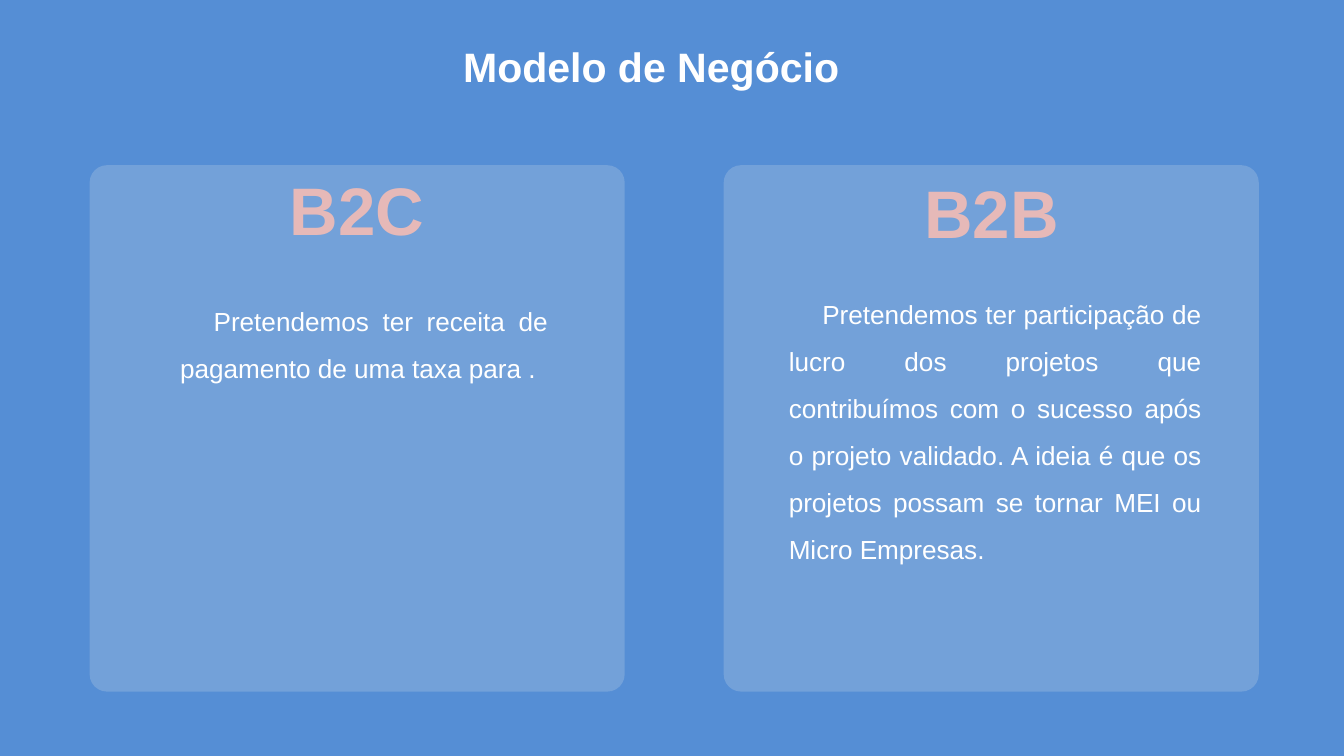
from lxml import etree
from pptx import Presentation
from pptx.dml.color import RGBColor
from pptx.enum import shapes, text
from pptx.oxml import ns
from pptx.util import Pt

COLORS = {"background": "558ED5", "card": "B9CDE5", "heading": "E6B9B8", "white": "FFFFFF"}
CARD_TOP, CARD_WIDTH, CARD_HEIGHT = 177, 573.3, 564
CARDS = [
    {
        "left": 96,
        "heading": ("B2C", (283.7, 177, 198, 94)),
        "body": (
            "\tPretendemos ter receita de pagamento de uma taxa para .",
            (185.8, 306.7, 408, 160),
        ),
    },
    {
        "left": 775.4,
        "heading": ("B2B", (963.4, 180, 198, 94)),
        "body": (
            "\tPretendemos ter participação de lucro dos projetos que contribuímos "
            "com o sucesso após o projeto validado. A ideia é que os projetos possam "
            "se tornar MEI ou Micro Empresas.",
            (838, 299.5, 456, 312.5),
        ),
    },
]


def color(name):
    """Return the named colour."""
    return RGBColor.from_string(COLORS[name])


def place(s, left, top, width, height):
    """Move and size a shape, in points."""
    s.left, s.top, s.width, s.height = Pt(left), Pt(top), Pt(width), Pt(height)


def write(s, content, size, fill="white", bold=False, align="CENTER", anchor="TOP", spacing=1.0):
    """Write one formatted paragraph into a shape."""
    tf = s.text_frame
    tf.word_wrap = True
    tf.auto_size = text.MSO_AUTO_SIZE.NONE
    tf.vertical_anchor = text.MSO_ANCHOR[anchor]
    p = tf.paragraphs[0]
    p.alignment = text.PP_ALIGN[align]
    p.line_spacing = spacing
    r = p.add_run()
    r.text = content
    r.font.name, r.font.size, r.font.bold = "Arial", Pt(size), bold
    r.font.color.rgb = color(fill)


def add_text(slide, content, box, **fmt):
    """Add a text box with formatted text."""
    s = slide.shapes.add_textbox(*map(Pt, box))
    write(s, content, **fmt)


def add_panel(slide, left):
    """Add a translucent rounded card."""
    s = slide.shapes.add_shape(
        shapes.MSO_SHAPE.ROUNDED_RECTANGLE,
        Pt(left), Pt(CARD_TOP), Pt(CARD_WIDTH), Pt(CARD_HEIGHT),
    )
    s.adjustments[0] = 0.033
    s.shadow.inherit = False
    s.fill.solid()
    s.fill.fore_color.rgb = color("card")
    s.line.fill.background()
    rgb = s._element.spPr.find(ns.qn("a:solidFill"))[0]
    etree.SubElement(rgb, ns.qn("a:alpha"), val="30000")


def add_card(slide, card):
    """Add a card with its heading and body."""
    add_panel(slide, card["left"])
    add_text(slide, *card["heading"], size=72, fill="heading", bold=True)
    add_text(slide, *card["body"], size=28, align="JUSTIFY", spacing=1.5)


def main():
    """Build and save the business model slide."""
    prs = Presentation()
    prs.slide_width, prs.slide_height = Pt(1440), Pt(810)
    slide = prs.slides.add_slide(prs.slide_layouts[5])
    slide.background.fill.solid()
    slide.background.fill.fore_color.rgb = color("background")
    title = slide.shapes.title
    place(title, 20, 35, 1356, 71)
    write(title, "Modelo de Negócio", size=44, bold=True, anchor="MIDDLE")
    for card in CARDS:
        add_card(slide, card)
    prs.save("out.pptx")


if __name__ == "__main__":
    main()
